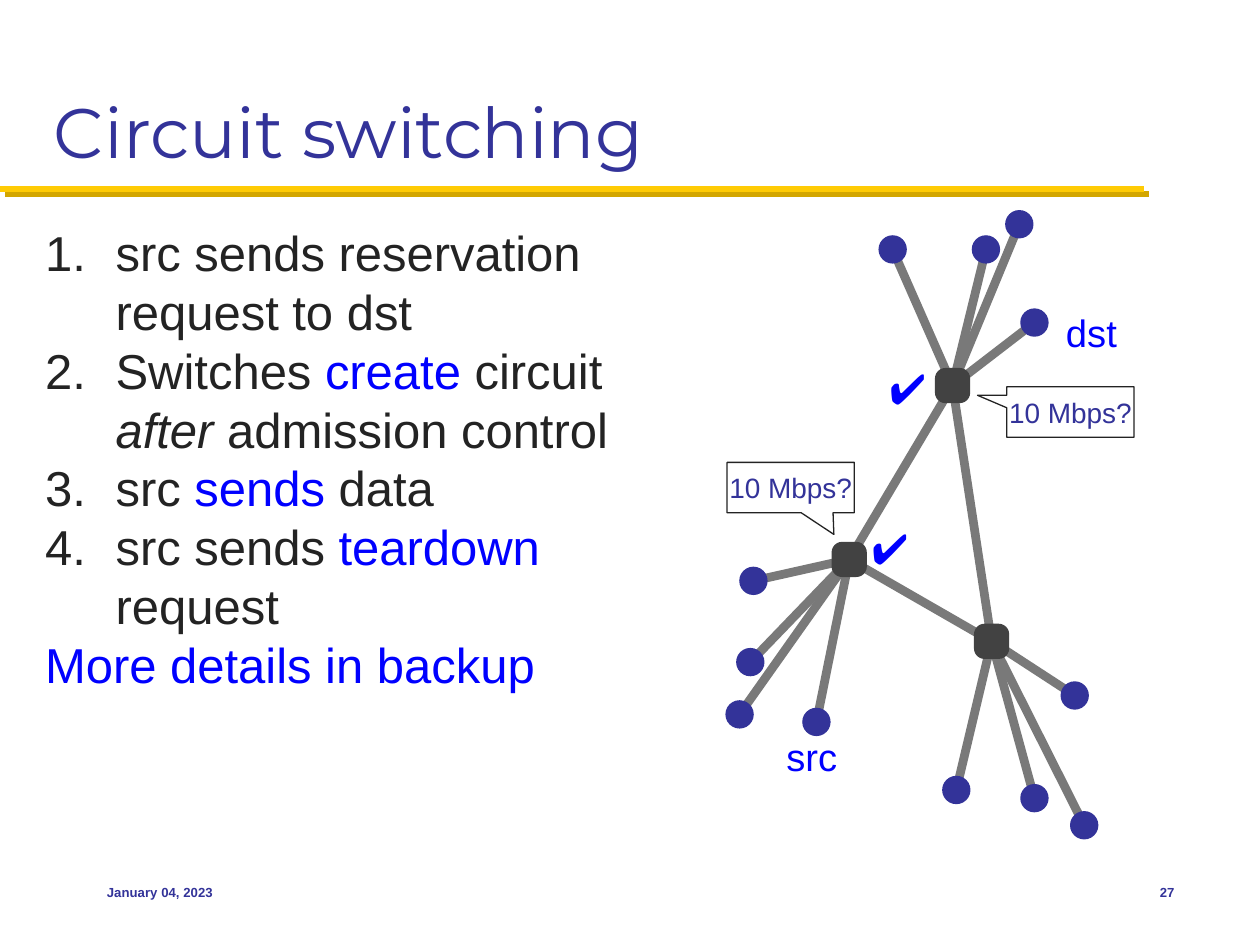
from dataclasses import dataclass

from lxml import etree
from pptx import Presentation
from pptx.dml.color import RGBColor
from pptx.enum.shapes import MSO_CONNECTOR, MSO_SHAPE
from pptx.enum.text import MSO_ANCHOR, PP_ALIGN
from pptx.oxml.ns import qn
from pptx.util import Inches, Pt

STRAIGHT = MSO_CONNECTOR.STRAIGHT
OVAL, ROUNDED = MSO_SHAPE.OVAL, MSO_SHAPE.ROUNDED_RECTANGLE
CALLOUT = MSO_SHAPE.RECTANGULAR_CALLOUT
TOP, MIDDLE, BOTTOM = MSO_ANCHOR.TOP, MSO_ANCHOR.MIDDLE, MSO_ANCHOR.BOTTOM
LEFT, CENTER, RIGHT = PP_ALIGN.LEFT, PP_ALIGN.CENTER, PP_ALIGN.RIGHT

# The slide is a grid of square cells
COLUMNS, ROWS = 100, 75
CELL = Inches(0.1)


@dataclass(frozen=True)
class Theme:
    navy: str = "333399"
    ink: str = "232323"
    accent: str = "0000FF"
    gold: str = "FFCB05"
    gold_shadow: str = "D3A600"
    link: str = "797979"
    switch: str = "424242"
    heading_font: str = "Montserrat"
    body_font: str = "Arial"
    symbol_font: str = "Calibri"
    title_size: float = 40
    body_size: float = 28
    body_leading: float = 33.6
    check_size: float = 24
    label_size: float = 21.8
    callout_size: float = 16
    footer_size: float = 7.5


THEME = Theme()

# Steps as (text, style) spans; style is "", "accent" or "italic"
STEPS = [
    [("src sends reservation request to dst", "")],
    [("Switches ", ""), ("create", "accent"), (" circuit ", ""),
     ("after", "italic"), (" admission control", "")],
    [("src ", ""), ("sends", "accent"), (" data", "")],
    [("src sends ", ""), ("teardown", "accent"), (" request", "")],
]
CLOSING = [("More details in backup", "accent")]

# Each switch centre with the centres of its hosts, in cells
NETWORK = {
    (75.6, 30.6): [(70.85, 19.8), (78.25, 19.8), (80.9, 17.8), (82.1, 25.6)],
    (67.4, 44.4): [(59.8, 46.1), (59.55, 52.55), (58.7, 56.7), (64.8, 57.3)],
    (78.7, 50.9): [(75.9, 62.7), (82.1, 63.35), (86.05, 65.5), (85.3, 55.2)],
}
HOST_SIZE, SWITCH_SIZE = 2.25, 2.8


def cells(*counts):
    return [round(count * CELL) for count in counts]


def style_span(span, size, color, font=THEME.body_font, bold=False):
    span.font.size = Pt(size)
    span.font.name = font
    span.font.bold = bold
    span.font.color.rgb = RGBColor.from_string(color)


def add_box(page, area, anchor=TOP, insets=(1, 0.5), wrap=True):
    box = page.shapes.add_textbox(*cells(*area))
    frame = box.text_frame
    frame.word_wrap = wrap
    frame.vertical_anchor = anchor
    frame.margin_left = frame.margin_right = cells(insets[0])[0]
    frame.margin_top = frame.margin_bottom = cells(insets[1])[0]
    return frame


def write_line(frame, text, size, color, align=LEFT, **font):
    frame.text = text
    para = frame.paragraphs[0]
    para.alignment = align
    style_span(para.runs[0], size, color, **font)


def add_steps(page, area):
    frame = add_box(page, area)
    for number, spans in enumerate(STEPS + [CLOSING]):
        para = frame.add_paragraph() if number else frame.paragraphs[0]
        para.line_spacing = Pt(THEME.body_leading)
        for text, style in spans:
            span = para.add_run()
            span.text = text
            color = THEME.accent if style == "accent" else THEME.ink
            style_span(span, THEME.body_size, color)
            span.font.italic = style == "italic"
        if spans is not CLOSING:
            number_paragraph(para, cells(5.6)[0])


def number_paragraph(para, indent):
    properties = para._p.get_or_add_pPr()
    properties.set("marL", str(indent))
    properties.set("indent", str(-indent))
    etree.SubElement(properties, qn("a:buFont"), typeface=THEME.body_font)
    etree.SubElement(properties, qn("a:buAutoNum"), type="arabicPeriod")


def add_line(page, start, end, color, width):
    line = page.shapes.add_connector(STRAIGHT, *cells(*start, *end))
    line.line.color.rgb = RGBColor.from_string(color)
    line.line.width = Pt(width)
    return etree.SubElement(line._element.spPr, qn("a:effectLst"))


def add_title_rule(page):
    effects = add_line(page, (0, 15), (90.8, 15), THEME.gold, 3.5)
    shadow = etree.SubElement(effects, qn("a:outerShdw"), dist=str(Pt(4.2)),
                              dir="2700000", algn="ctr", rotWithShape="0")
    etree.SubElement(shadow, qn("a:srgbClr"), val=THEME.gold_shadow)


def add_node(page, kind, center, size, color):
    x, y = center
    node = page.shapes.add_shape(
        kind, *cells(x - size / 2, y - size / 2, size, size))
    node.shadow.inherit = False
    node.fill.solid()
    node.fill.fore_color.rgb = RGBColor.from_string(color)
    node.line.fill.background()
    return node


def add_network(page):
    # Links lie beneath the nodes
    switches = list(NETWORK)
    for switch, hosts in NETWORK.items():
        for host in hosts:
            add_line(page, host, switch, THEME.link, 5)
    for index, switch in enumerate(switches):
        add_line(page, switches[index - 1], switch, THEME.link, 5)
    for switch, hosts in NETWORK.items():
        for host in hosts:
            add_node(page, OVAL, host, HOST_SIZE, THEME.navy)
        node = add_node(page, ROUNDED, switch, SWITCH_SIZE, THEME.switch)
        node.adjustments[0] = 0.3


def add_callout(page, corner, pointer):
    callout = page.shapes.add_shape(CALLOUT, *cells(*corner, 10.1, 4))
    callout.shadow.inherit = False
    callout.adjustments[0], callout.adjustments[1] = pointer
    callout.fill.background()
    callout.line.color.rgb = RGBColor.from_string(THEME.ink)
    callout.line.width = Pt(0.75)
    frame = callout.text_frame
    frame.word_wrap = False
    frame.vertical_anchor = MIDDLE
    write_line(frame, "10 Mbps?", THEME.callout_size, THEME.navy, CENTER)


def main():
    deck = Presentation()
    deck.slide_width, deck.slide_height = cells(COLUMNS, ROWS)
    page = deck.slides.add_slide(deck.slide_layouts[6])

    # Heading and steps
    add_title_rule(page)
    title = add_box(page, (3.3, 1.7, 93.3, 12.5), BOTTOM)
    write_line(title, "Circuit switching", THEME.title_size, THEME.navy,
               font=THEME.heading_font)
    add_steps(page, (2.6, 17.2, 49.7, 48.3))

    # Network with its labels
    add_network(page)
    for text, corner in (("dst", (84.2, 24.1)), ("src", (62, 57.8))):
        label = add_box(page, (*corner, 4.9, 4.5), MIDDLE, (0.4, 0.4), False)
        write_line(label, text, THEME.label_size, THEME.accent)
    add_callout(page, (57.7, 36.7), (0.34, 0.93))
    add_callout(page, (79.9, 30.7), (-0.73, -0.33))
    for corner in ((68.2, 41), (69.6, 28.3)):
        check = add_box(page, (*corner, 5.4, 5), wrap=False)
        write_line(check, "✔️", THEME.check_size, THEME.accent,
                   font=THEME.symbol_font)

    # Footer
    for text, left, width, align in (("January 04, 2023", 7.5, 20.8, LEFT),
                                     ("27", 87.5, 6.7, RIGHT)):
        footer = add_box(page, (left, 68.3, width, 5), MIDDLE)
        write_line(footer, text, THEME.footer_size, THEME.navy, align,
                   bold=True)

    deck.save("out.pptx")


if __name__ == "__main__":
    main()
